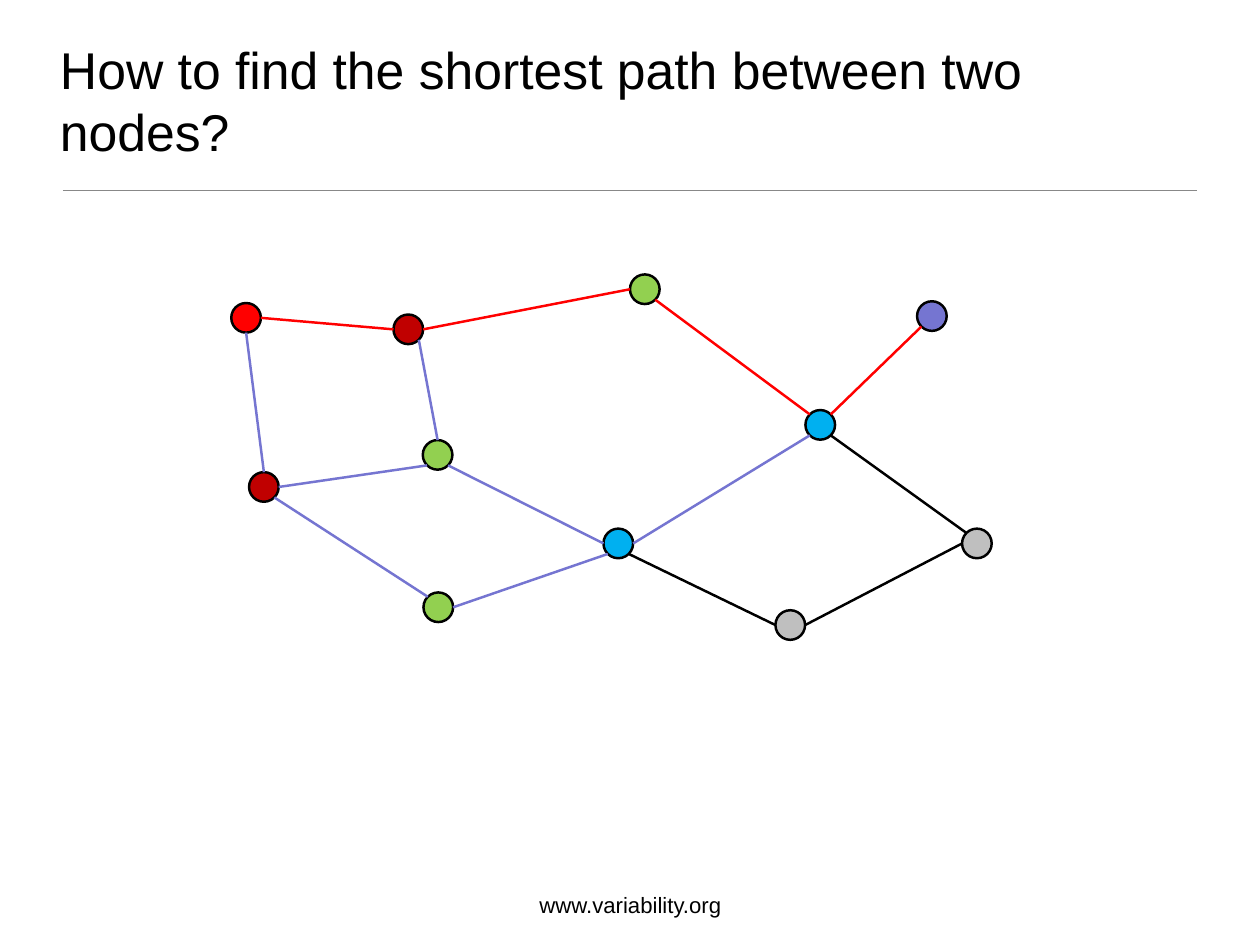
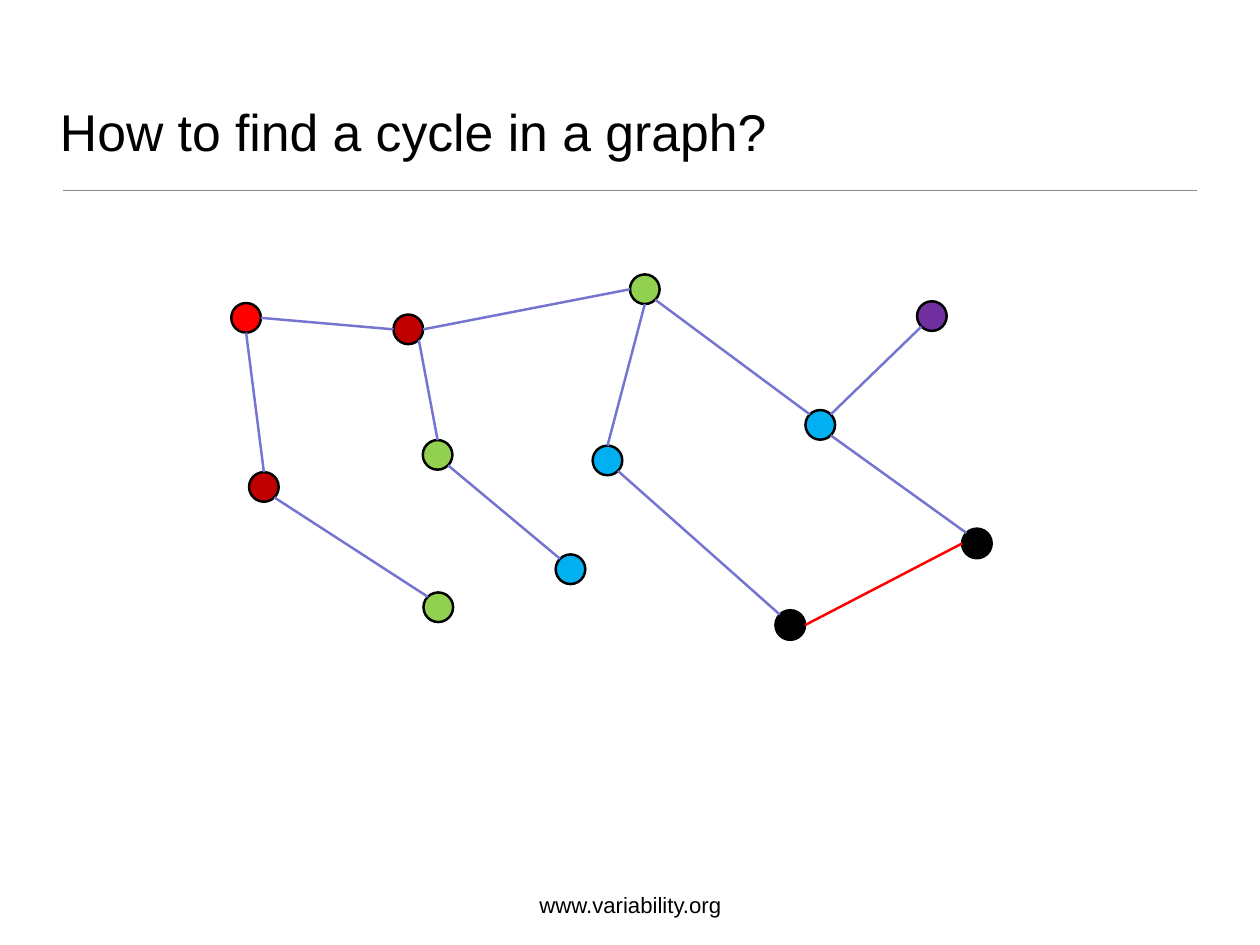
import lxml.etree
import pptx
import pptx.dml.color
import pptx.enum.shapes
import pptx.enum.text
import pptx.oxml.ns
import pptx.util

Cm = pptx.util.Cm
Pt = pptx.util.Pt
qn = pptx.oxml.ns.qn
MIDDLE_SIDES = pptx.enum.shapes.MSO_CONNECTOR.STRAIGHT

COLORS = {
    "black": "000000", "rule": "888888", "red": "FF0000", "dark red": "C00000",
    "green": "92D050", "blue": "00B0F0", "gray": "BFBFBF",
    "violet": "7575D1", "purple": "7030A0",
}
FOOTER = "www.variability.org"
DIAMETER = 0.85

POSITIONS = {
    "start": (6.63, 8.69), "upper": (11.28, 9.02), "lower": (7.14, 13.54),
    "top": (18.06, 7.87), "bottom": (12.14, 16.99), "hub": (17.3, 15.16),
    "middle": (12.12, 12.62), "right": (23.09, 11.76), "low": (22.23, 17.5),
    "goal": (26.29, 8.64), "far": (27.58, 15.16),
    "inner": (16.99, 12.78), "tail": (15.93, 15.9),
}
SITES = {
    "N": (0, 0, -1), "NW": (1, -0.71, -0.71), "W": (2, -1, 0), "SW": (3, -0.71, 0.71),
    "S": (4, 0, 1), "SE": (5, 0.71, 0.71), "E": (6, 1, 0), "NE": (7, 0.71, -0.71),
}
SHARED_NODES = {
    "start": "red", "upper": "dark red", "lower": "dark red", "top": "green",
    "bottom": "green", "middle": "green", "right": "blue",
}
SHARED_EDGES = [
    ("start", "E", "upper", "W"), ("start", "S", "lower", "N"),
    ("lower", "SE", "bottom", "NW"), ("upper", "SE", "middle", "N"),
    ("upper", "E", "top", "W"), ("top", "SE", "right", "NW"),
    ("right", "SE", "far", "NW"), ("low", "E", "far", "W"),
    ("goal", "SW", "right", "NE"),
]
GRAPHS = [
    {
        "title": "How to find the shortest path between two nodes?",
        "nodes": {"hub": "blue", "low": "gray", "goal": "violet", "far": "gray"},
        "edges": [
            ("middle", "SW", "lower", "E"), ("middle", "SE", "hub", "W"),
            ("bottom", "E", "hub", "SW"), ("hub", "E", "right", "SW"),
            ("hub", "SE", "low", "W"),
        ],
        "edge colors": {
            ("start", "upper"): "red", ("upper", "top"): "red",
            ("top", "right"): "red", ("goal", "right"): "red",
            ("hub", "low"): "black", ("right", "far"): "black", ("low", "far"): "black",
        },
    },
    {
        "title": "How to find a cycle in a graph?",
        "nodes": {"inner": "blue", "low": "black", "goal": "purple", "far": "black",
                  "tail": "blue"},
        "edges": [
            ("top", "S", "inner", "N"), ("inner", "SE", "low", "NW"),
            ("middle", "SE", "tail", "NW"),
        ],
        "edge colors": {("low", "far"): "red"},
    },
]


def rgb(name):
    return pptx.dml.color.RGBColor.from_string(COLORS[name])


def add_line(slide, begin, end, color, width):
    line = slide.shapes.add_connector(MIDDLE_SIDES, *map(Cm, begin + end))
    line.line.color.rgb = rgb(color)
    line.line.width = Pt(width)
    lxml.etree.SubElement(line._element.spPr, qn("a:effectLst"))
    return line


def add_text(slide, text, box, size, inset, wrap, align):
    frame = slide.shapes.add_textbox(*map(Cm, box)).text_frame
    settings = {
        "word_wrap": wrap, "vertical_anchor": pptx.enum.text.MSO_ANCHOR.BOTTOM,
        "margin_left": Cm(inset), "margin_right": Cm(inset),
        "margin_top": Cm(inset), "margin_bottom": Cm(inset),
    }
    for name, value in settings.items():
        setattr(frame, name, value)
    paragraph = frame.paragraphs[0]
    paragraph.text = text
    paragraph.alignment = align
    for name, value in {"name": "Arial", "size": Pt(size)}.items():
        setattr(paragraph.font, name, value)
    paragraph.font.color.rgb = rgb("black")


def add_frame(slide, title):
    align = pptx.enum.text.PP_ALIGN
    add_line(slide, (1.8, 5.46), (34.32, 5.46), "rule", 1)
    add_text(slide, FOOTER, (15.39, 25.3, 5.36, 1.02), 18, 0, False, align.CENTER)
    add_text(slide, title, (1.57, 0.91, 32.94, 3.89), 42, 0.15, True, align.LEFT)


def add_node(slide, name, color):
    node = slide.shapes.add_shape(
        pptx.enum.shapes.MSO_SHAPE.OVAL, *map(Cm, POSITIONS[name] + (DIAMETER, DIAMETER)))
    node.shadow.inherit = False
    node.fill.solid()
    node.fill.fore_color.rgb = rgb(color)
    node.line.color.rgb = rgb("black")
    node.line.width = Pt(2)
    return node


def site_point(name, site):
    radius = DIAMETER / 2
    return tuple(corner + radius * (1 + step)
                 for corner, step in zip(POSITIONS[name], SITES[site][1:]))


def add_edge(slide, nodes, edge, color):
    source, source_site, target, target_site = edge
    line = add_line(slide, site_point(source, source_site),
                    site_point(target, target_site), color, 2)
    joints = line._element.nvCxnSpPr.cNvCxnSpPr
    for tag, name, site in (("a:stCxn", source, source_site), ("a:endCxn", target, target_site)):
        lxml.etree.SubElement(joints, qn(tag), id=str(nodes[name].shape_id),
                              idx=str(SITES[site][0]))


def main():
    deck = pptx.Presentation()
    deck.slide_width, deck.slide_height = Cm(36.12), Cm(27.1)
    for graph in GRAPHS:
        slide = deck.slides.add_slide(deck.slide_layouts[6])
        add_frame(slide, graph["title"])
        colors = {**SHARED_NODES, **graph["nodes"]}
        nodes = {name: add_node(slide, name, color) for name, color in colors.items()}
        for edge in SHARED_EDGES + graph["edges"]:
            color = graph["edge colors"].get((edge[0], edge[2]), "violet")
            add_edge(slide, nodes, edge, color)
    deck.save("out.pptx")


if __name__ == "__main__":
    main()
